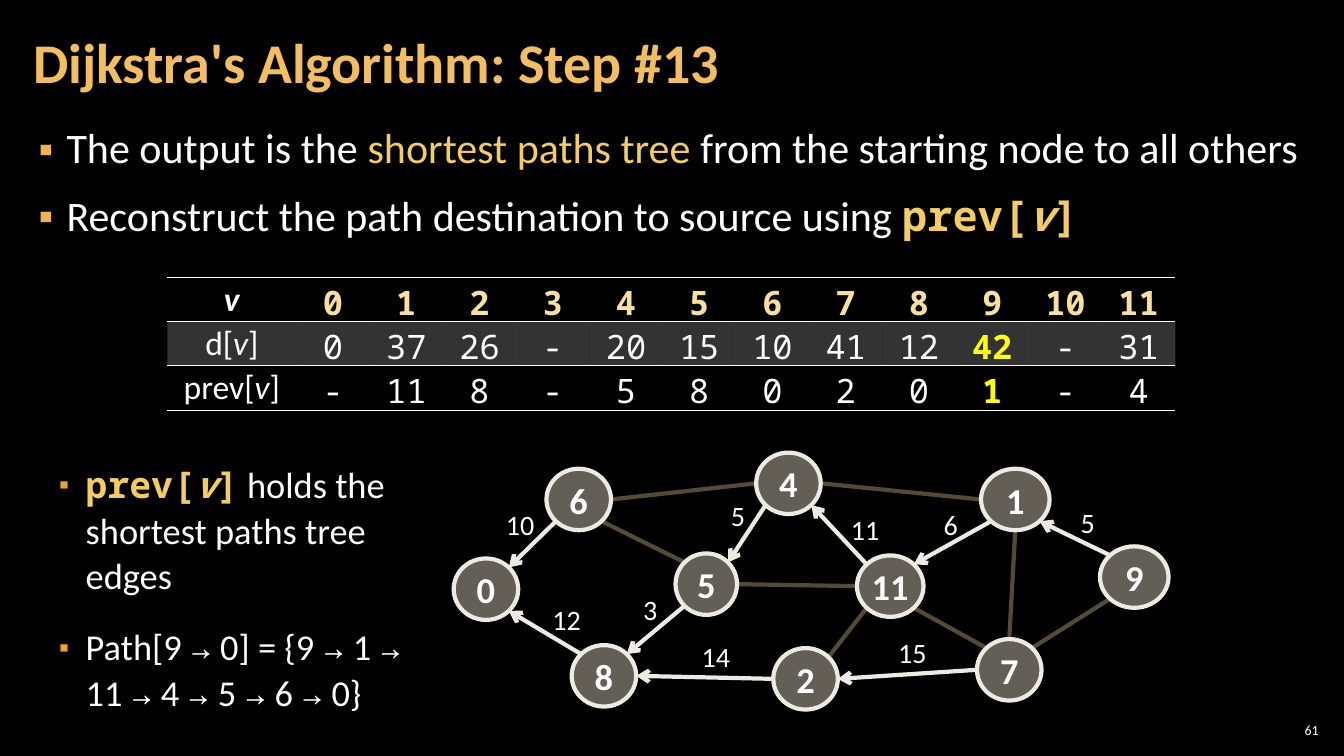
from dataclasses import dataclass, replace

from lxml import etree
from pptx import Presentation
from pptx import util as u
from pptx.dml.color import RGBColor
from pptx.enum import shapes, text
from pptx.oxml import ns


@dataclass(frozen=True)
class Style:
    """Look of a span of text."""
    size: float
    color: str = "FFFFFF"
    bold: bool = False
    italic: bool = False
    name: str = "Calibri"


class Theme:
    """Colours and type styles of the slide."""
    mono = "Noto Sans Mono"
    background, white, gold = "000000", "FFFFFF", "F3CD60"
    node_fill, tree_edge, plain_edge = "C7BFAC", "ECEAE3", "534B38"
    title = Style(40, "F3BE60", True)
    body, notes, cell, weight, number = map(Style, (30, 26, 24, 20, 10))
    node = Style(26, bold=True)
    digit = replace(cell, name=mono)
    heading = replace(digit, color="F8E19F", bold=True)
    changed = replace(digit, color="FFFF00", bold=True)


INSETS = (0.12, 0.04, 0.12, 0.04)
SITES = {"N": (0, -0.5), "S": (0, 0.5), "W": (-0.5, 0), "E": (0.5, 0),
         "NW": (-0.354, -0.354), "NE": (0.354, -0.354),
         "SW": (-0.354, 0.354), "SE": (0.354, 0.354)}
NODE_HEIGHT = 0.61
NODES = {"0": (0, 1.05, 0.64), "8": (1.17, 1.91, 0.64), "6": (0.92, 0.16, 0.64),
         "5": (2.2, 1, 0.61), "4": (3, 0, 0.64), "2": (3.17, 1.94, 0.64),
         "11": (4, 1.02, 0.66), "7": (5.19, 1.85, 0.64),
         "1": (5.23, 0.16, 0.68), "9": (6.41, 0.93, 0.68)}
PLAIN_EDGES = [("4", "E", "1", "W"), ("5", "E", "11", "W"), ("6", "E", "4", "W"),
               ("5", "NW", "6", "SE"), ("11", "SE", "7", "NW"),
               ("2", "NE", "11", "SW"), ("7", "N", "1", "S"), ("9", "SW", "7", "NE")]
TREE_EDGES = [(("6", "SW", "0", "NE"), "10", 0.42, 0.5),
              (("8", "NW", "0", "SE"), "12", 0.88, 1.44),
              (("1", "SW", "11", "NE"), "6", 4.76, 0.5),
              (("2", "W", "8", "E"), "14", 2.36, 1.81),
              (("7", "W", "2", "E"), "15", 4.31, 1.77),
              (("5", "SW", "8", "NE"), "3", 1.78, 1.34),
              (("4", "SW", "5", "NE"), "5", 2.65, 0.41),
              (("11", "NW", "4", "SE"), "11", 3.84, 0.55),
              (("9", "NW", "1", "SE"), "5", 6.12, 0.48)]
VERTICES = [str(vertex) for vertex in range(12)]
DISTANCES = "0 37 26 - 20 15 10 41 12 42 - 31".split()
PREVIOUS = "- 11 8 - 5 8 0 2 0 1 - 4".split()
CHANGED_VERTEX = 9


def inches(*lengths):
    """Convert lengths in inches to slide units."""
    return [u.Inches(length) for length in lengths]


def add_xml(parent, tag, **attributes):
    """Append a drawing element to a parent element."""
    return etree.SubElement(parent, ns.qn("a:" + tag), attributes)


def set_fill(fill, color, opacity=100):
    """Fill with a colour, optionally see-through."""
    fill.solid()
    fill.fore_color.rgb = RGBColor.from_string(color)
    if opacity < 100:
        swatch = fill._xPr.find(ns.qn("a:solidFill"))[0]
        add_xml(swatch, "alpha", val=str(opacity * 1000))


def set_font(font, style):
    """Give a font the look of a style."""
    font.size, font.name = u.Pt(style.size), style.name
    font.bold, font.italic = style.bold, style.italic
    font.color.rgb = RGBColor.from_string(style.color)


def write(para, spans, align=text.PP_ALIGN.LEFT):
    """Write styled spans into a paragraph."""
    para.alignment = align
    shared = len({style for _, style in spans}) == 1
    for words, style in spans:
        span = para.add_run()
        span.text = words
        if not shared:
            set_font(span.font, style)
    if shared:
        set_font(para.font, spans[0][1])


def set_frame(frame, insets, anchor=text.MSO_ANCHOR.TOP, wrap=True):
    """Set insets, anchor and wrapping of a text frame."""
    (frame.margin_left, frame.margin_top,
     frame.margin_right, frame.margin_bottom) = inches(*insets)
    frame.vertical_anchor, frame.word_wrap = anchor, wrap


def add_text(page, box, spans, insets, align=text.PP_ALIGN.LEFT, **layout):
    """Add a one-paragraph text box."""
    frame = page.shapes.add_textbox(*inches(*box)).text_frame
    set_frame(frame, insets, **layout)
    write(frame.paragraphs[0], spans, align)


def indexed(name, style):
    """Spell name[v] with the index in italics."""
    return [(name + "[", style), ("v", replace(style, italic=True)), ("]", style)]


def add_bullets(page, box, items, indent, color, size=100, gap=6, spacing=1.0):
    """Add a list with square bullets."""
    frame = page.shapes.add_textbox(*inches(*box)).text_frame
    set_frame(frame, INSETS)
    for index, spans in enumerate(items):
        para = frame.add_paragraph() if index else frame.paragraphs[0]
        props = para._p.get_or_add_pPr()
        props.set("marL", str(u.Inches(indent)))
        props.set("indent", str(-u.Inches(indent)))
        add_xml(add_xml(props, "buClr"), "srgbClr", val=color)
        add_xml(props, "buSzPct", val=str(size * 1000))
        add_xml(props, "buFont", typeface=Theme.mono)
        add_xml(props, "buChar", char="▪")
        para.line_spacing, para.space_after = spacing, u.Pt(6)
        if index:
            para.space_before = u.Pt(gap)
        write(para, spans)


def add_title(page, box, words):
    """Place and format the title."""
    title = page.shapes.title
    title.left, title.top, title.width, title.height = inches(*box)
    set_frame(title.text_frame, INSETS, text.MSO_ANCHOR.MIDDLE)
    para = title.text_frame.paragraphs[0]
    para.line_spacing = 0.9
    write(para, [(words, Theme.title)])


def set_borders(cell):
    """Rule a cell above and below only."""
    props = cell._tc.get_or_add_tcPr()
    for index, side in enumerate(("lnL", "lnR", "lnT", "lnB")):
        line = add_xml(props, side, w=str(u.Pt(1)))
        if index < 2:
            add_xml(line, "noFill")
        else:
            add_xml(add_xml(line, "solidFill"), "srgbClr", val=Theme.white)
        props.insert(index, line)


def add_distances(page, box, label_width):
    """Add the table of distances and previous nodes."""
    label = replace(Theme.cell, bold=True, italic=True)
    rows = [([("v", label)], VERTICES), (indexed("d", Theme.cell), DISTANCES),
            (indexed("prev", Theme.cell), PREVIOUS)]
    count = len(VERTICES)
    table = page.shapes.add_table(len(rows), count + 1, *inches(*box)).table
    table.first_row = table.horz_banding = False
    for index, column in enumerate(table.columns):
        column.width = u.Inches((box[2] - label_width) / count if index else label_width)
    for row, (heading, values) in enumerate(rows):
        styles = [Theme.digit if row else Theme.heading] * count
        if row:
            styles[CHANGED_VERTEX] = Theme.changed
        for column, spans in enumerate([heading] + [[pair] for pair in zip(values, styles)]):
            cell = table.cell(row, column)
            cell.margin_left = cell.margin_right = u.Inches(0.04)
            cell.margin_top = cell.margin_bottom = u.Inches(0.02)
            if row == 1:
                set_fill(cell.fill, Theme.white, 20)
            else:
                cell.fill.background()
            set_borders(cell)
            write(cell.text_frame.paragraphs[0], spans, text.PP_ALIGN.CENTER)


def add_edge(page, origin, edge, color, arrow=False):
    """Join two nodes at named points of their outlines."""
    ends = []
    for name, site in (edge[:2], edge[2:]):
        left, top, width = NODES[name]
        across, down = SITES[site]
        ends += [origin[0] + left + width * (0.5 + across),
                 origin[1] + top + NODE_HEIGHT * (0.5 + down)]
    link = page.shapes.add_connector(shapes.MSO_CONNECTOR.STRAIGHT, *inches(*ends))
    link.line.width = u.Pt(3)
    set_fill(link.line.fill, color)
    if arrow:
        add_xml(link.line._get_or_add_ln(), "tailEnd", type="arrow")
    add_xml(link._element.spPr, "effectLst")


def add_graph(page, origin):
    """Draw the graph with its shortest paths tree."""
    for edge in PLAIN_EDGES:
        add_edge(page, origin, edge, Theme.plain_edge)
    for edge, *_ in TREE_EDGES:
        add_edge(page, origin, edge, Theme.tree_edge, arrow=True)
    for name, (left, top, width) in NODES.items():
        box = (origin[0] + left, origin[1] + top, width, NODE_HEIGHT)
        node = page.shapes.add_shape(shapes.MSO_SHAPE.OVAL, *inches(*box))
        node.shadow.inherit = False
        set_fill(node.fill, Theme.node_fill, 50)
        set_fill(node.line.fill, Theme.tree_edge)
        node.line.width = u.Pt(3)
        set_frame(node.text_frame, (0.04, 0.05, 0.04, 0.05), text.MSO_ANCHOR.MIDDLE)
        write(node.text_frame.paragraphs[0], [(name, Theme.node)], text.PP_ALIGN.CENTER)
    for _, weight, left, top in TREE_EDGES:
        box = (origin[0] + left, origin[1] + top, 0.19 + 0.15 * len(weight), 0.44)
        add_text(page, box, [(weight, Theme.weight)], (0.1, 0.05, 0.1, 0.05), wrap=False)


def path_spans(words, style):
    """Set the arrows of a path in the fixed-width font."""
    first, *others = words.split("→")
    spans = [(first, style)]
    for part in others:
        spans += [("→", replace(style, name=Theme.mono)), (part, style)]
    return spans


def main():
    """Build and save the slide."""
    deck = Presentation()
    deck.slide_width, deck.slide_height = inches(13.33, 7.5)
    page = deck.slides.add_slide(deck.slide_layouts[5])
    set_fill(page.background.fill, Theme.background)
    body, notes = Theme.body, Theme.notes
    code = Style(30, Theme.gold, True, name=Theme.mono)
    add_title(page, (0.21, 0.04, 10.47, 1.21), "Dijkstra's Algorithm: Step #13")
    add_bullets(page, (0.21, 1.17, 12.91, 1.4), [
        [("The output is the ", body),
         ("shortest paths tree ", replace(body, color=Theme.gold)),
         ("from the starting node to all others", body)],
        [("Reconstruct the path destination to source using ", body)]
        + indexed("prev", code)], 0.33, "F2B254")
    add_distances(page, (1.66, 2.75, 10, 1.32), 1.28)
    add_graph(page, (4.5, 4.49))
    add_bullets(page, (0.43, 4.52, 3.77, 2.65), [
        indexed("prev", replace(code, size=26))
        + [(" holds the shortest paths tree edges", notes)],
        path_spans("Path[9 → 0] = {9 → 1 → 11 → 4 → 5 → 6 → 0}", notes)],
        0.3, "F0A22E", size=80, gap=12, spacing=1.05)
    add_text(page, (12.65, 7.14, 0.47, 0.21), [("61", Theme.number)], (0.04,) * 4,
             text.PP_ALIGN.RIGHT, anchor=text.MSO_ANCHOR.MIDDLE)
    deck.save("out.pptx")


if __name__ == "__main__":
    main()
